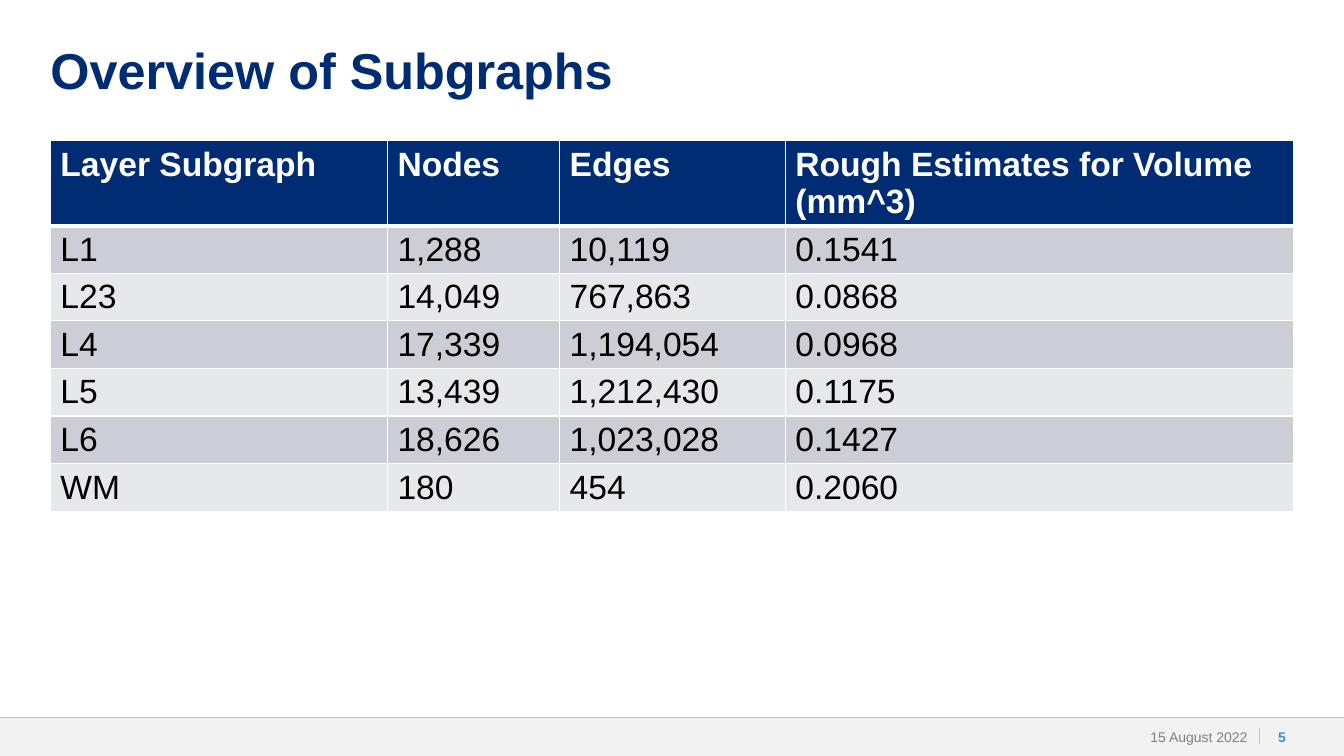
from lxml import etree
from pptx import Presentation
from pptx.dml.color import RGBColor
from pptx.enum.shapes import MSO_CONNECTOR, MSO_SHAPE
from pptx.enum.text import MSO_ANCHOR, MSO_AUTO_SIZE, PP_ALIGN
from pptx.oxml import parse_xml
from pptx.oxml.ns import nsdecls, qn
from pptx.util import Pt

PX = 9525  # 96 px to the inch
FONT = "Arial"
NAVY = RGBColor(0x00, 0x2C, 0x73)
BLUE = RGBColor(0x3E, 0x8E, 0xDE)
WHITE = RGBColor(0xFF, 0xFF, 0xFF)
BLACK = RGBColor(0x00, 0x00, 0x00)
GRAY = RGBColor(0x80, 0x80, 0x80)
RULE = RGBColor(0xBF, 0xBF, 0xBF)
PALE = RGBColor(0xF2, 0xF2, 0xF2)
BANDS = (RGBColor(0xCC, 0xCD, 0xD5), RGBColor(0xE7, 0xE8, 0xEB))

STRAIGHT = MSO_CONNECTOR.STRAIGHT
RECT = MSO_SHAPE.RECTANGLE
TOP, MIDDLE = MSO_ANCHOR.TOP, MSO_ANCHOR.MIDDLE
LEFT, CENTER, RIGHT = PP_ALIGN.LEFT, PP_ALIGN.CENTER, PP_ALIGN.RIGHT
FIXED = MSO_AUTO_SIZE.NONE

COLS = (321, 164, 215, 484)
ROW = 39
ROWS = (
    ("Layer Subgraph", "Nodes", "Edges", "Rough Estimates for Volume (mm^3)"),
    ("L1", "1,288", "10,119", "0.1541"),
    ("L23", "14,049", "767,863", "0.0868"),
    ("L4", "17,339", "1,194,054", "0.0968"),
    ("L5", "13,439", "1,212,430", "0.1175"),
    ("L6", "18,626", "1,023,028", "0.1427"),
    ("WM", "180", "454", "0.2060"),
)


def px(*sizes):
    return [size * PX for size in sizes]


def write(frame, text, size, color, bold=False, align=LEFT):
    para = frame.paragraphs[0]
    para.alignment = align
    run = para.add_run()
    run.text = text
    font = run.font
    font.name, font.size, font.bold = FONT, Pt(size), bold
    font.color.rgb = color
    return para


def set_frame(frame, anchor, side=0):
    frame.word_wrap = True
    frame.auto_size = FIXED
    frame.vertical_anchor = anchor
    frame.margin_left = frame.margin_right = side * PX
    frame.margin_top = frame.margin_bottom = 0


def add_title(slide, box):
    title = slide.shapes.title
    title.left, title.top, title.width, title.height = px(*box)
    set_frame(title.text_frame, TOP)
    para = write(title.text_frame, "Overview of Subgraphs", 36, NAVY, True)
    para.line_spacing = 0.9


def add_rule(slide, *ends):
    rule = slide.shapes.add_connector(STRAIGHT, *px(*ends))
    rule.line.color.rgb = RULE
    rule.line.width = Pt(0.5)
    etree.SubElement(rule._element.spPr, qn("a:effectLst"))


def add_label(slide, box, text, color, bold, align, side):
    label = slide.shapes.add_textbox(*px(*box))
    set_frame(label.text_frame, MIDDLE, side)
    write(label.text_frame, text, 10, color, bold, align)


def add_footer(slide, box):
    left, top, width, height = box
    bar = slide.shapes.add_shape(RECT, *px(*box))
    bar.shadow.inherit = False
    bar.fill.solid()
    bar.fill.fore_color.rgb = PALE
    bar.line.fill.background()
    split = left + width - 81
    add_rule(slide, left, top, left + width, top)
    add_rule(slide, split, top + 10, split, top + 26)
    add_label(slide, (split - 145, top, 144, height),
              "15 August 2022", GRAY, False, RIGHT, 10)
    add_label(slide, (split + 2, top, 40, height), "5", BLUE, True, CENTER, 0)


def add_edges(cell, row):
    """Draw white cell borders, thick between the header and the body."""
    for side in "LRTB":
        thick = (row, side) in ((0, "B"), (1, "T"))
        cell._tc.get_or_add_tcPr().append(parse_xml(
            f'<a:ln{side} {nsdecls("a")} w="{Pt(3 if thick else 1)}">'
            f'<a:solidFill><a:srgbClr val="{WHITE}"/></a:solidFill>'
            f'</a:ln{side}>'))


def add_grid(slide, left, top):
    box = px(left, top, sum(COLS), ROW * len(ROWS))
    table = slide.shapes.add_table(len(ROWS), len(COLS), *box).table
    for col, width in zip(table.columns, COLS):
        col.width = width * PX
    for r, texts in enumerate(ROWS):
        table.rows[r].height = ROW * PX
        head = r == 0
        for c, text in enumerate(texts):
            cell = table.cell(r, c)
            add_edges(cell, r)
            cell.fill.solid()
            cell.fill.fore_color.rgb = NAVY if head else BANDS[(r - 1) % 2]
            write(cell.text_frame, text, 24, WHITE if head else BLACK, head)


def main():
    deck = Presentation()
    deck.slide_width, deck.slide_height = px(1280, 720)
    slide = deck.slides.add_slide(deck.slide_layouts[5])
    add_footer(slide, (0, 683, 1280, 37))
    add_title(slide, (48, 44, 1184, 80))
    add_grid(slide, 48, 134)
    deck.save("out.pptx")


if __name__ == "__main__":
    main()
